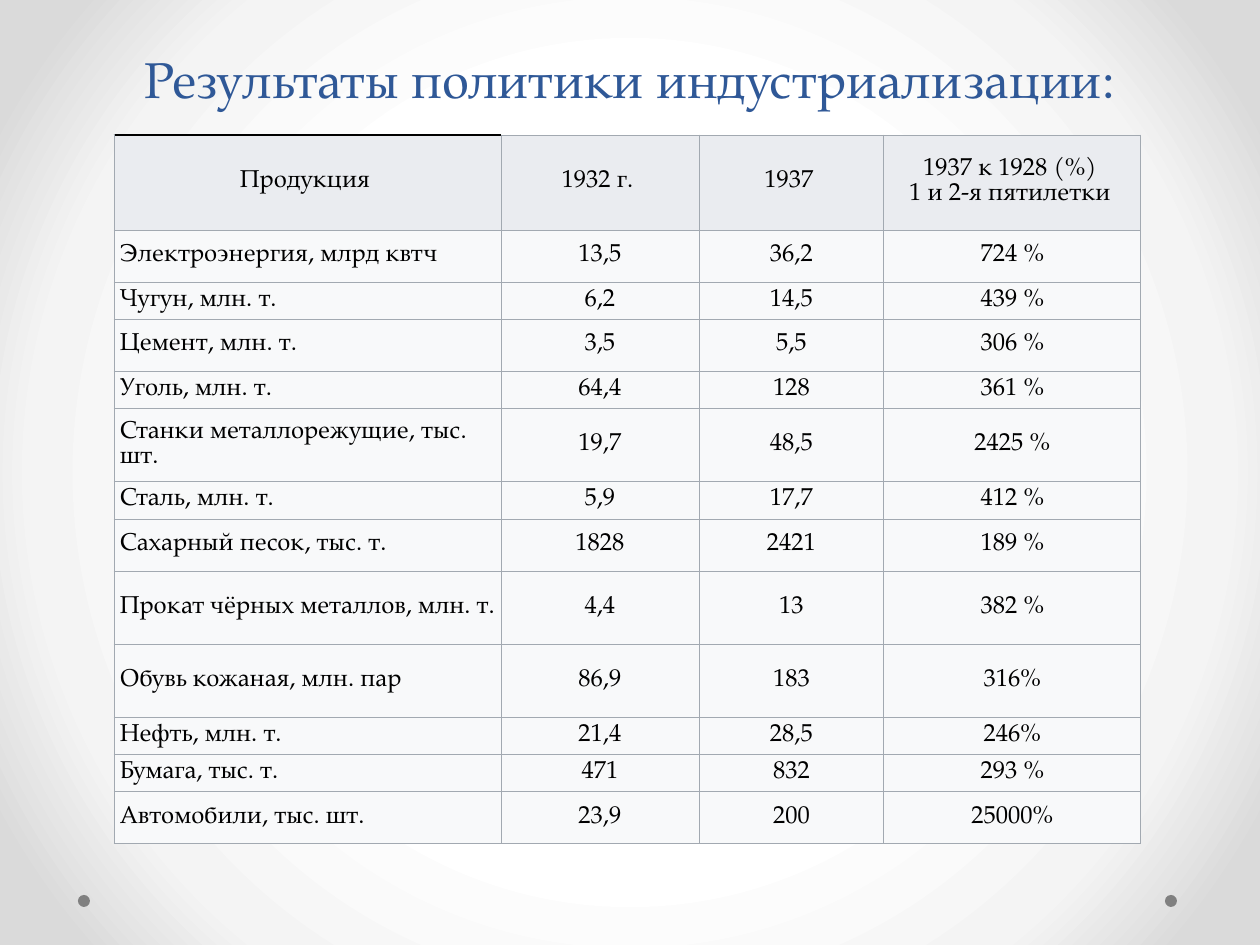
import pptx
import pptx.dml.color
import pptx.enum.shapes
import pptx.enum.text
import pptx.oxml
import pptx.oxml.ns
import pptx.util

PX = 914400 / 126
FONT = "TeX Gyre Pagella"
RGB = pptx.dml.color.RGBColor
ALIGN = pptx.enum.text.PP_ALIGN
ANCHOR = pptx.enum.text.MSO_ANCHOR

BLUE = RGB(0x2F, 0x58, 0x97)
BLACK = RGB(0x00, 0x00, 0x00)
GREY = RGB(0x80, 0x80, 0x80)
RULE = RGB(0xA2, 0xA9, 0xB1)
HEADER_FILL = RGB(0xEA, 0xEC, 0xF0)
BODY_FILL = RGB(0xF8, 0xF9, 0xFA)
BACKGROUND_STOPS = [
    (50, RGB(0xFF, 0xFF, 0xFF)),
    (76, RGB(0xF4, 0xF4, 0xF4)),
    (92, RGB(0xDA, 0xDA, 0xDA)),
]

COLUMN_WIDTHS = [387, 198, 185, 257]
HEADER_HEIGHT, SHORT, MEDIUM, TALL = 95, 31, 52, 73
HEADER = ["Продукция", "1932 г.", "1937", "1937 к 1928 (%)\n1 и 2-я пятилетки"]
PRODUCTS = [
    (MEDIUM, "Электроэнергия, млрд квтч", "13,5", "36,2", "724 %"),
    (SHORT, "Чугун, млн. т.", "6,2", "14,5", "439 %"),
    (MEDIUM, "Цемент, млн. т.", "3,5", "5,5", "306 %"),
    (SHORT, "Уголь, млн. т.", "64,4", "128", "361 %"),
    (TALL, "Станки металлорежущие, тыс. шт.", "19,7", "48,5", "2425 %"),
    (SHORT, "Сталь, млн. т.", "5,9", "17,7", "412 %"),
    (MEDIUM, "Сахарный песок, тыс. т.", "1828", "2421", "189 %"),
    (TALL, "Прокат чёрных металлов, млн. т.", "4,4", "13", "382 %"),
    (TALL, "Обувь кожаная, млн. пар", "86,9", "183", "316%"),
    (SHORT, "Нефть, млн. т.", "21,4", "28,5", "246%"),
    (SHORT, "Бумага, тыс. т.", "471", "832", "293 %"),
    (MEDIUM, "Автомобили, тыс. шт.", "23,9", "200", "25000%"),
]


def px(length):
    return pptx.util.Emu(round(length * PX))


def parse_drawing(xml):
    namespace = pptx.oxml.ns.nsdecls("a")
    return pptx.oxml.parse_xml(xml.replace(" NS", " " + namespace, 1))


def set_background(page):
    page.background.fill.gradient()
    gradient = page._element.xpath(".//a:gradFill")[0]
    stops = "".join(
        f'<a:gs pos="{position * 1000}"><a:srgbClr val="{color}"/></a:gs>'
        for position, color in BACKGROUND_STOPS
    )
    radial = parse_drawing(
        f'<a:gradFill NS rotWithShape="1"><a:gsLst>{stops}</a:gsLst><a:path path="circle">'
        '<a:fillToRect l="50000" t="50000" r="50000" b="50000"/></a:path></a:gradFill>'
    )
    gradient.getparent().replace(gradient, radial)


def add_dot(page, left, top, size):
    dot = page.shapes.add_shape(
        pptx.enum.shapes.MSO_SHAPE.OVAL, px(left), px(top), px(size), px(size))
    dot.shadow.inherit = False
    dot.fill.solid()
    dot.fill.fore_color.rgb = GREY
    dot.line.fill.background()


def style_paragraph(para, size, color, align):
    para.alignment = align
    para.font.name = FONT
    para.font.size = pptx.util.Pt(size)
    para.font.color.rgb = color


def add_title(page, text):
    box = page.shapes.add_textbox(px(63), px(38), px(1134), px(77))
    frame = box.text_frame
    frame.word_wrap = True
    frame.vertical_anchor = ANCHOR.BOTTOM
    para = frame.paragraphs[0]
    para.text = text
    para.line_spacing = pptx.util.Pt(58)
    style_paragraph(para, 28.8, BLUE, ALIGN.CENTER)


def add_border(cell, side, color, width):
    cell._tc.get_or_add_tcPr().append(parse_drawing(
        f'<a:ln{side} NS w="{pptx.util.Pt(width)}"><a:solidFill>'
        f'<a:srgbClr val="{color}"/></a:solidFill></a:ln{side}>'
    ))


def fill_cell(cell, text, fill, align, right_margin, top_border):
    borders = {"L": (RULE, 0.6), "R": (RULE, 0.6), "T": top_border, "B": (RULE, 0.6)}
    for side, (color, width) in borders.items():
        add_border(cell, side, color, width)
    cell.fill.solid()
    cell.fill.fore_color.rgb = fill
    cell.vertical_anchor = ANCHOR.MIDDLE
    cell.margin_left, cell.margin_right = px(6), px(right_margin)
    cell.margin_top = cell.margin_bottom = px(4)
    para = cell.text_frame.paragraphs[0]
    para.text = text
    style_paragraph(para, 14, BLACK, align)


def add_results_table(page):
    rows = [(HEADER_HEIGHT, *HEADER), *PRODUCTS]
    table = page.shapes.add_table(
        len(rows), len(COLUMN_WIDTHS), px(114), px(135),
        px(sum(COLUMN_WIDTHS)), px(sum(row[0] for row in rows))).table
    table.first_row = table.horz_banding = False
    for column, width in zip(table.columns, COLUMN_WIDTHS):
        column.width = px(width)
    for row_index, (height, *texts) in enumerate(rows):
        table.rows[row_index].height = px(height)
        is_header = row_index == 0
        for column_index, text in enumerate(texts):
            is_first = column_index == 0
            fill_cell(
                table.cell(row_index, column_index), text,
                HEADER_FILL if is_header else BODY_FILL,
                ALIGN.LEFT if is_first and not is_header else ALIGN.CENTER,
                11 if is_header else 6,
                (BLACK, 1) if is_header and is_first else (RULE, 0.6),
            )


def main():
    deck = pptx.Presentation()
    deck.slide_width, deck.slide_height = px(1260), px(945)
    page = deck.slides.add_slide(deck.slide_layouts[6])

    # Backdrop with the two corner dots
    set_background(page)
    for left in (1165, 78):
        add_dot(page, left, 895, 12)

    # Heading and production figures
    add_title(page, "Результаты политики индустриализации:")
    add_results_table(page)

    deck.save("out.pptx")


if __name__ == "__main__":
    main()
